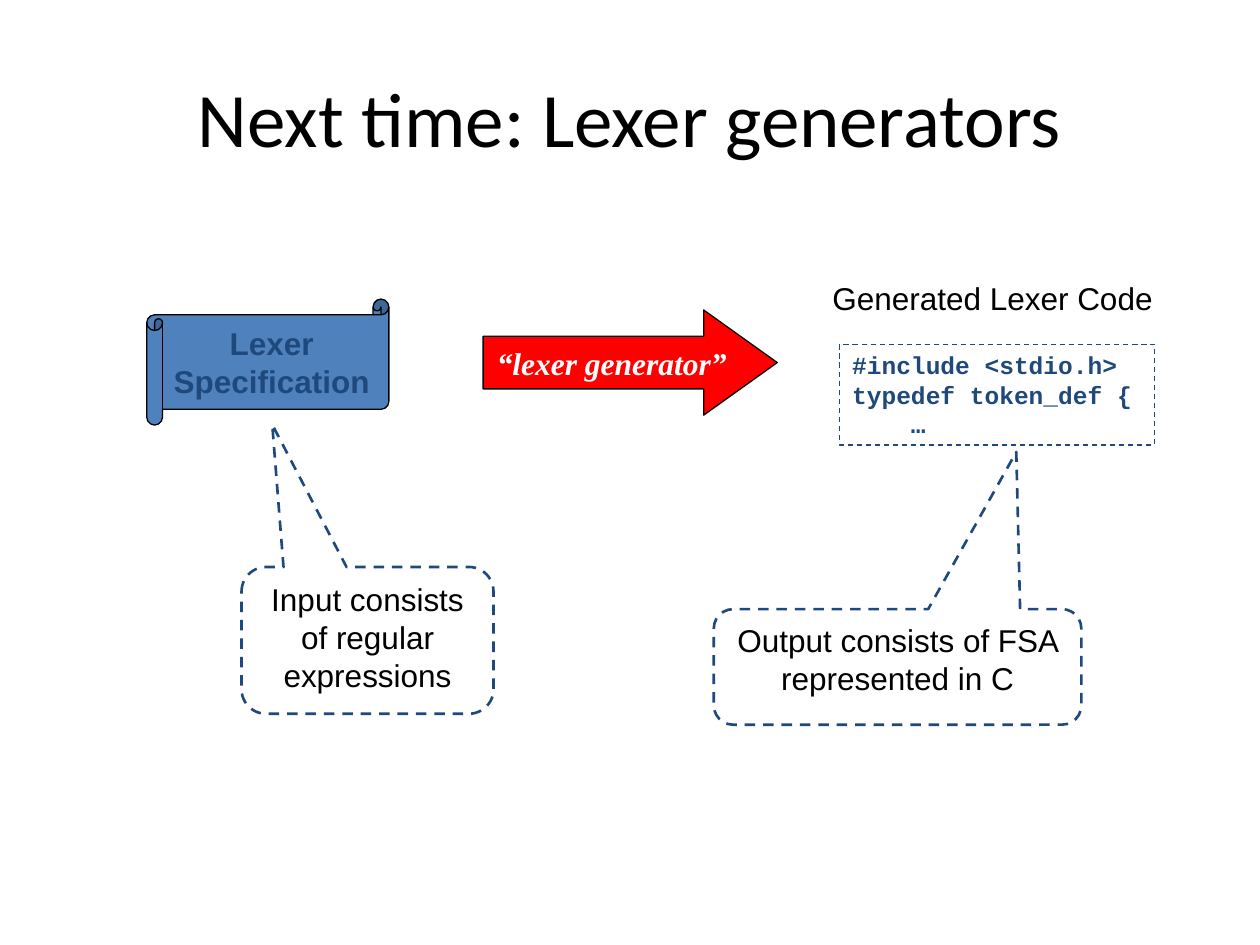
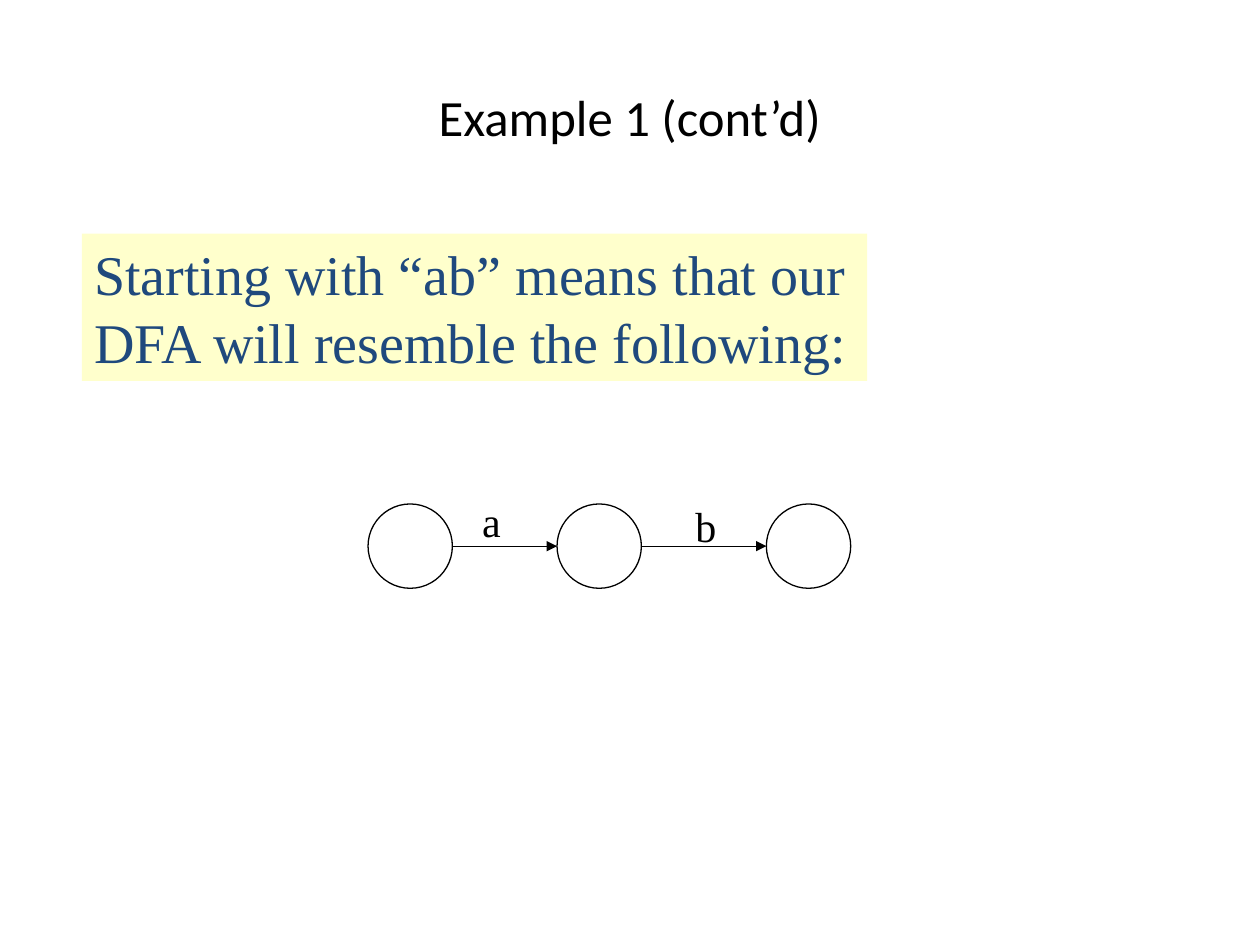
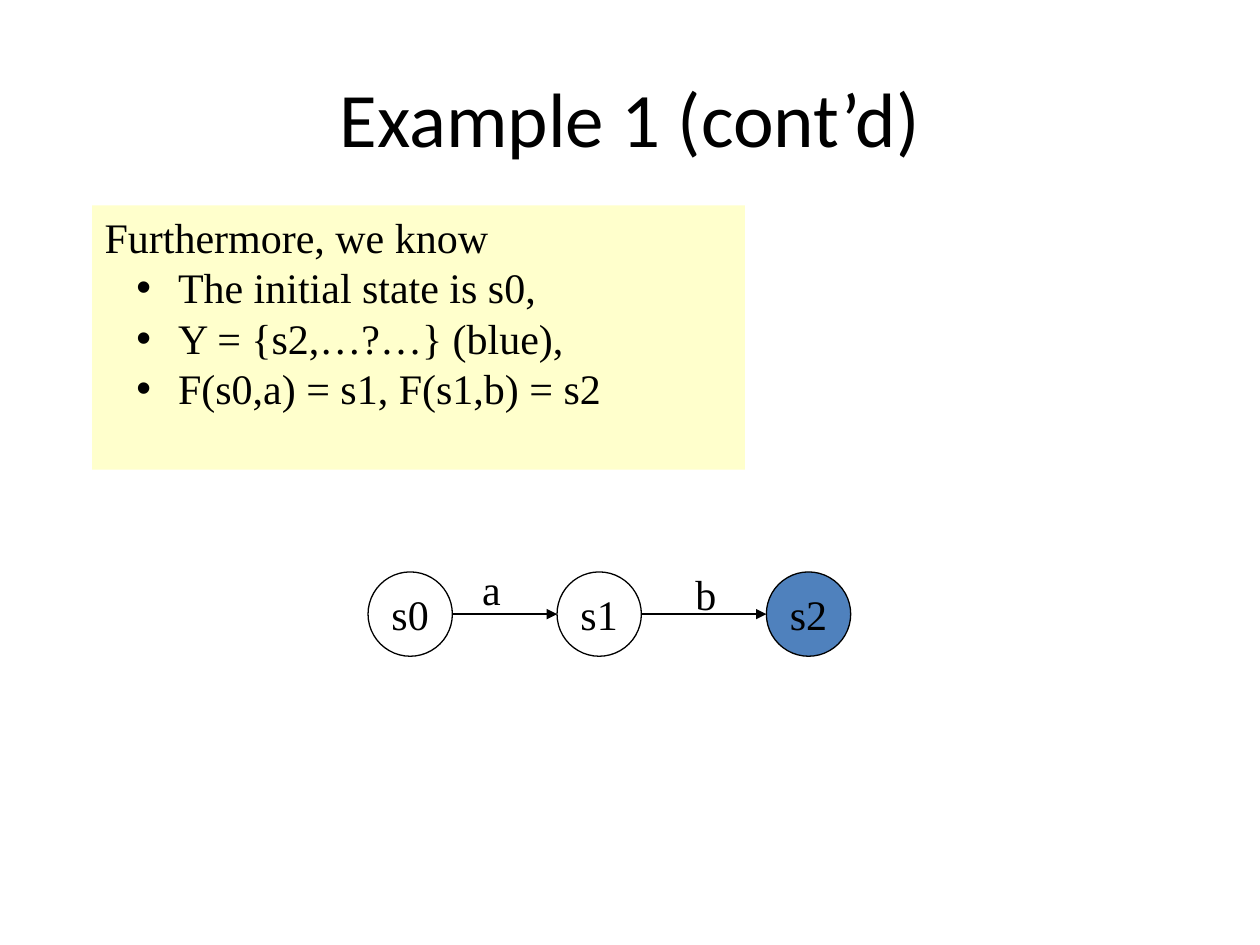
"""Build three slides on lexer generators and a small automaton."""
from lxml.etree import SubElement
from pptx import Presentation
from pptx.dml.color import RGBColor
from pptx.enum.dml import MSO_LINE_DASH_STYLE as Dash
from pptx.enum.shapes import MSO_CONNECTOR as Link, MSO_SHAPE as Preset
from pptx.enum.text import MSO_ANCHOR as Anchor, PP_ALIGN as Align
from pptx.oxml.ns import qn
from pptx.util import Cm, Pt

BLACK, WHITE, NAVY = "000000", "FFFFFF", "1F497D"
BLUE, RED, CREAM = "4F81BD", "FF0000", "FFFFCC"
SANS, SERIF, MONO, HEADING = "Arial", "Times New Roman", "Courier New", "Calibri"
CIRCLE = 1.7
STATE_LEFTS = (7.42, 11.23, 15.45)
LABELS = (("a", 9.47, 0.3, 0.89), ("b", 13.77, 0.2, 0.91))


def rgb(code):
    """Turn a hex string into a colour."""
    return RGBColor.from_string(code)


def box(left, top, width, height):
    """Turn centimetres into lengths."""
    return [Cm(value) for value in (left, top, width, height)]


def add_bullet(paragraph):
    """Give a paragraph a hanging round bullet."""
    properties = paragraph._p.get_or_add_pPr()
    properties.set("marL", str(Cm(1.48)))
    properties.set("indent", str(-Cm(0.84)))
    SubElement(properties, qn("a:buFont"), typeface=SANS)
    SubElement(properties, qn("a:buChar"), char="•")


def write(shape, text, size=18, font=SANS, color=BLACK, bold=False, italic=False,
          align=Align.LEFT, anchor=Anchor.TOP, wrap=True, leading=1.2, bullets_from=None):
    """Fill a shape with one formatted paragraph per line of text."""
    frame = shape.text_frame
    frame.word_wrap = wrap
    frame.vertical_anchor = anchor
    for number, line in enumerate(text.split("\n")):
        paragraph = frame.add_paragraph() if number else frame.paragraphs[0]
        paragraph.alignment = align
        if leading:
            paragraph.line_spacing = Pt(round(size * leading, 1))
        if bullets_from is not None and number >= bullets_from:
            add_bullet(paragraph)
        run = paragraph.add_run()
        run.text = line
        run.font.name, run.font.size = font, Pt(size)
        run.font.bold, run.font.italic = bold, italic
        run.font.color.rgb = rgb(color)


def add_title(slide, text, size=44):
    """Add the slide title."""
    title = slide.shapes.add_textbox(*box(1.27, 0.76, 22.86, 3.18))
    write(title, text, size=size, font=HEADING, align=Align.CENTER,
          anchor=Anchor.MIDDLE, leading=None)


def add_label(slide, place, text, **style):
    """Add an unwrapped text label."""
    write(slide.shapes.add_textbox(*box(*place)), text, wrap=False, **style)


def add_figure(slide, preset, place, fill=None, line=None, weight=0.75, dashed=False,
               adjust=()):
    """Add a preset shape with its fill, outline and adjustments."""
    figure = slide.shapes.add_shape(preset, *box(*place))
    figure.shadow.inherit = False
    for index, value in enumerate(adjust):
        figure.adjustments[index] = value
    if fill:
        figure.fill.solid()
        figure.fill.fore_color.rgb = rgb(fill)
    else:
        figure.fill.background()
    if line:
        figure.line.color.rgb = rgb(line)
        figure.line.width = Pt(weight)
        if dashed:
            figure.line.dash_style = Dash.DASH
    else:
        figure.line.fill.background()
    return figure


def add_callout(slide, place, text, tip):
    """Add a dashed speech callout pointing to its tip."""
    callout = add_figure(slide, Preset.ROUNDED_RECTANGULAR_CALLOUT, place, fill=WHITE,
                         line=NAVY, weight=1.5, dashed=True, adjust=(*tip, 0.167))
    write(callout, text, align=Align.CENTER)


def add_arrow(slide, start, end, height):
    """Add a horizontal arrow."""
    arrow = slide.shapes.add_connector(Link.STRAIGHT, Cm(start), Cm(height),
                                       Cm(end), Cm(height))
    arrow.line.color.rgb = rgb(BLACK)
    arrow.line.width = Pt(0.75)
    SubElement(arrow.line._get_or_add_ln(), qn("a:tailEnd"), type="triangle")
    SubElement(arrow._element.spPr, qn("a:effectLst"))


def add_automaton(slide, top, names=(), accepting=None):
    """Add the chain of states with its labelled transitions."""
    for index, left in enumerate(STATE_LEFTS):
        state = add_figure(slide, Preset.OVAL, (left, top, CIRCLE, CIRCLE), line=BLACK,
                           fill=BLUE if index == accepting else WHITE)
        if names:
            write(state, names[index], size=24, font=SERIF, align=Align.CENTER,
                  anchor=Anchor.MIDDLE, wrap=False)
    for left, following in zip(STATE_LEFTS, STATE_LEFTS[1:]):
        add_arrow(slide, left + CIRCLE, following, top + CIRCLE / 2)
    for symbol, left, rise, width in LABELS:
        add_label(slide, (left, top - rise, width, 1.27), symbol, size=24, font=SERIF)


def build_generators(slide):
    """Show how a specification becomes lexer code."""
    add_title(slide, "Next time: Lexer generators")
    specification = add_figure(slide, Preset.HORIZONTAL_SCROLL, (2.96, 6.03, 4.88, 2.54),
                               fill=BLUE, line=BLACK, adjust=(0.125,))
    write(specification, "Lexer\nSpecification", color=NAVY, bold=True,
          align=Align.CENTER, anchor=Anchor.MIDDLE, wrap=False)
    generator = add_figure(slide, Preset.RIGHT_ARROW, (9.74, 6.25, 5.93, 2.12),
                           fill=RED, line=BLACK, adjust=(0.5, 0.7))
    write(generator, "“lexer generator”", font=SERIF, color=WHITE, bold=True, italic=True,
          align=Align.CENTER, anchor=Anchor.MIDDLE, wrap=False)
    code = add_figure(slide, Preset.RECTANGLE, (16.93, 6.94, 6.35, 2.03),
                      line=NAVY, dashed=True)
    write(code, "#include <stdio.h>\ntypedef token_def {\n    …", size=14, font=MONO,
          color=NAVY, bold=True)
    add_label(slide, (16.53, 5.5, 6.96, 1.02), "Generated Lexer Code")
    add_callout(slide, (4.87, 11.43, 5.08, 2.96),
                "Input consists of regular expressions", (-0.378, -1.47))
    add_callout(slide, (14.39, 12.28, 7.41, 2.33),
                "Output consists of FSA represented in C", (0.323, -1.86))


def build_prefix(slide):
    """Show the unnamed states that read the prefix."""
    add_title(slide, "Example 1 (cont’d)", size=29)
    statement = add_figure(slide, Preset.RECTANGLE, (1.65, 4.71, 15.83, 2.97), fill=CREAM)
    write(statement, "Starting with “ab” means that our\nDFA will resemble the following:",
          size=32, font=SERIF, color=NAVY, wrap=False)
    add_automaton(slide, 10.16)


def build_named_states(slide):
    """Show the named states and what is known about them."""
    add_title(slide, "Example 1 (cont’d)")
    add_automaton(slide, 11.53, names=("s0", "s1", "s2"), accepting=2)
    facts = add_figure(slide, Preset.RECTANGLE, (1.86, 4.14, 13.16, 5.33), fill=CREAM)
    write(facts, "Furthermore, we know\nThe initial state is s0,\n"
          "Y = {s2,…?…} (blue),\nF(s0,a) = s1, F(s1,b) = s2",
          size=24, font=SERIF, bullets_from=1)


def main():
    """Build and save the presentation."""
    deck = Presentation()
    deck.slide_width, deck.slide_height = Cm(25.4), Cm(19.05)
    for build in (build_generators, build_prefix, build_named_states):
        build(deck.slides.add_slide(deck.slide_layouts[6]))
    deck.save("out.pptx")


if __name__ == "__main__":
    main()
